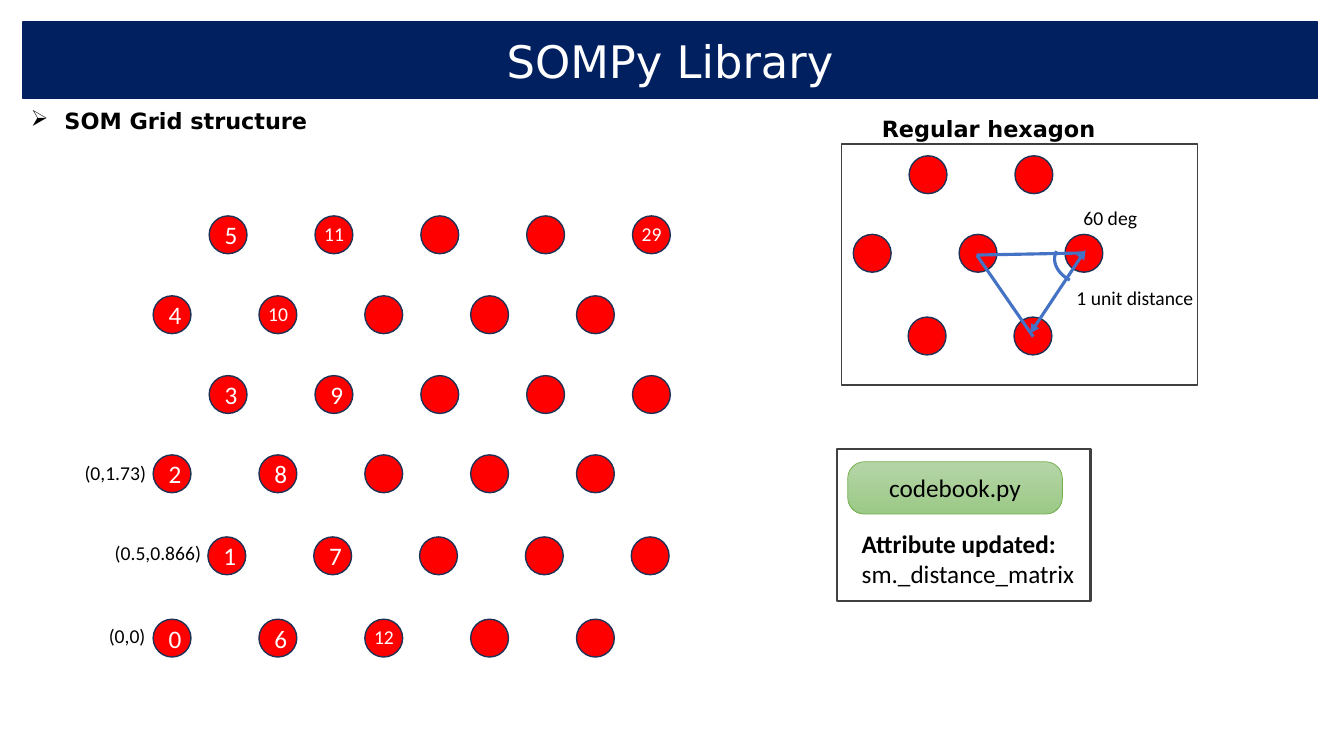
from lxml import etree
from pptx import Presentation
from pptx.dml.color import RGBColor
from pptx.enum import shapes, text
from pptx.oxml import ns
from pptx.util import Pt

# Colours and fonts
NAVY = RGBColor(0x00, 0x20, 0x60)
RED = RGBColor(0xFF, 0x00, 0x00)
NODE_EDGE = RGBColor(0x1E, 0x32, 0x56)
GREY = RGBColor(0x40, 0x40, 0x40)
BLUE = RGBColor(0x44, 0x72, 0xC4)
GREEN = RGBColor(0x70, 0xAD, 0x47)
PALE_GREEN = RGBColor(0xB5, 0xD5, 0xA7)
MID_GREEN = RGBColor(0x9C, 0xC9, 0x87)
BLACK = RGBColor(0, 0, 0)
WHITE = RGBColor(0xFF, 0xFF, 0xFF)
BODY, HEADING = "Calibri", "DejaVu Sans"
BULLET_FONT, BULLET = "Wingdings", "Ø"  # drawn as an arrowhead

# Content: lengths in points
TITLE = "SOMPy Library"
SECTION = "SOM Grid structure"
HEXAGON = "Regular hexagon"
FILE_NAME = "codebook.py"
ATTRIBUTE = ("Attribute updated: ", "sm._distance_matrix")

NODE, PITCH = 27, 75.6
GRID_COLS = 5
GRID_ROWS = [  # left, top; from the bottom row up
    (109.4, 442.3), (148.5, 383.5), (109.4, 324.9),
    (149.4, 268.3), (109.4, 211.3), (149.4, 154.2),
]
NUMBERED = [*range(13), 29]
HEXAGON_ROWS = [(649.4, 111.3, 2), (609.5, 167.4, 3), (648.7, 226.5, 2)]  # left, top, nodes

NOTES = [  # text, left, top, width
    ("(0,0)", 70.6, 442.1, 46),
    ("(0.5,0.866)", 74.9, 383, 80),
    ("(0,1.73)", 53.3, 325.4, 60),
    ("1 unit distance", 761.8, 200.9, 111),
    ("60 deg", 766.8, 143.3, 76),
]
SIDES = [  # start, end, arrowheads
    ((735.8, 238.3), (775.4, 178.6), True),
    ((697.7, 182.2), (738, 240.5), False),
    ((697.7, 182.2), (774, 180.7), False),
]

prs = Presentation()
prs.slide_width, prs.slide_height = Pt(960), Pt(540)
s = prs.slides.add_slide(prs.slide_layouts[6])


def style(r, size, color=BLACK, font=BODY, bold=False):
    r.font.size, r.font.name, r.font.bold = Pt(size), font, bold
    r.font.color.rgb = color


def add_shape(kind, box, fill, line, width, label="", size=18, color=WHITE, font=BODY):
    sp = s.shapes.add_shape(kind, *map(Pt, box))
    sp.shadow.inherit = False
    if fill is None:
        sp.fill.background()
    else:
        sp.fill.solid()
        sp.fill.fore_color.rgb = fill
    sp.line.color.rgb, sp.line.width = line, Pt(width)
    if label:
        tf = sp.text_frame
        tf.text = label
        tf.vertical_anchor = text.MSO_ANCHOR.MIDDLE
        p = tf.paragraphs[0]
        p.alignment = text.PP_ALIGN.CENTER
        style(p.runs[0], size, color, font)
    return sp


def add_text(label, box, size=14, color=BLACK, font=BODY, bold=False):
    sp = s.shapes.add_textbox(*map(Pt, box))
    tf = sp.text_frame
    tf.word_wrap = True
    tf.text = label
    style(tf.paragraphs[0].runs[0], size, color, font, bold)
    return tf.paragraphs[0]


def add_node(left, top, label=""):
    add_shape(shapes.MSO_SHAPE.OVAL, (left, top, NODE, NODE), RED, NODE_EDGE, 1, label)


# Frames, title and section heading
RECT = shapes.MSO_SHAPE.RECTANGLE
add_shape(RECT, (597.6, 320.4, 181.4, 108.7), None, GREY, 1.5)
add_shape(RECT, (601.2, 103, 254.2, 172), None, GREY, 1)
add_shape(RECT, (16.5, 15.8, 924.5, 54.7), NAVY, NAVY, 1, TITLE, 32, WHITE, HEADING)

p = add_text(SECTION, (15, 77, 452, 26), 16, font=HEADING, bold=True)
p.line_spacing, p.space_before = 0.8, Pt(3.6)
pPr = p._p.get_or_add_pPr()
pPr.set("marL", str(Pt(24)))
pPr.set("indent", str(-Pt(24)))
bullet_color = etree.SubElement(pPr, ns.qn("a:buClr"))
etree.SubElement(bullet_color, ns.qn("a:srgbClr"), val=str(BLACK))
etree.SubElement(pPr, ns.qn("a:buFont"), typeface=BULLET_FONT, pitchFamily="2", charset="2")
etree.SubElement(pPr, ns.qn("a:buChar"), char=BULLET)

# SOM grid, numbered upwards column by column
for row, (left, top) in enumerate(GRID_ROWS):
    for col in range(GRID_COLS):
        number = col * len(GRID_ROWS) + row
        x = left + col * PITCH
        label = str(number) if number in NUMBERED else ""
        add_node(x, top, label if len(label) == 1 else "")
        if len(label) == 2:
            add_text(label, (x - 0.5, top + 0.6, 33, 24.5), color=WHITE)

# Hexagon: nodes, triangle sides and angle
for left, top, count in HEXAGON_ROWS:
    for col in range(count):
        add_node(left + col * PITCH, top)

for start, end, arrows in SIDES:
    side = s.shapes.add_connector(shapes.MSO_CONNECTOR.STRAIGHT, *map(Pt, start + end))
    side.line.color.rgb, side.line.width = BLUE, Pt(2.25)
    if arrows:
        for tag in ("a:headEnd", "a:tailEnd"):
            etree.SubElement(side.line._get_or_add_ln(), ns.qn(tag), type="triangle")
    etree.SubElement(side._element.spPr, ns.qn("a:effectLst"))

arc = add_shape(shapes.MSO_SHAPE.ARC, (753.1, 169.9, 48.2, 33.8), None, BLUE, 2.25)
arc.adjustments[0], arc.adjustments[1] = 183.45, 5.71
arc.rotation = 188.8

# Labels
for label, left, top, width in NOTES:
    add_text(label, (left, top, width, 24.5))
add_text(HEXAGON, (622.8, 78.5, 168.5, 26.6), 16, font=HEADING, bold=True)

# Code file and the attribute it updates
p = add_text(ATTRIBUTE[0], (608.4, 373.7, 219.6, 72.7), 18, bold=True)
r = p.add_run()
r.text = ATTRIBUTE[1]
style(r, 18)

button = add_shape(shapes.MSO_SHAPE.ROUNDED_RECTANGLE, (605.5, 329.8, 153.4, 37.4),
                   PALE_GREEN, GREEN, 0.5, FILE_NAME, 18, BLACK)
button.adjustments[0] = 0.32
button.fill.gradient()
button.fill.gradient_angle = 270
for stop, color, position in zip(button.fill.gradient_stops, (PALE_GREEN, MID_GREEN), (0, 1)):
    stop.color.rgb, stop.position = color, position

prs.save("out.pptx")
